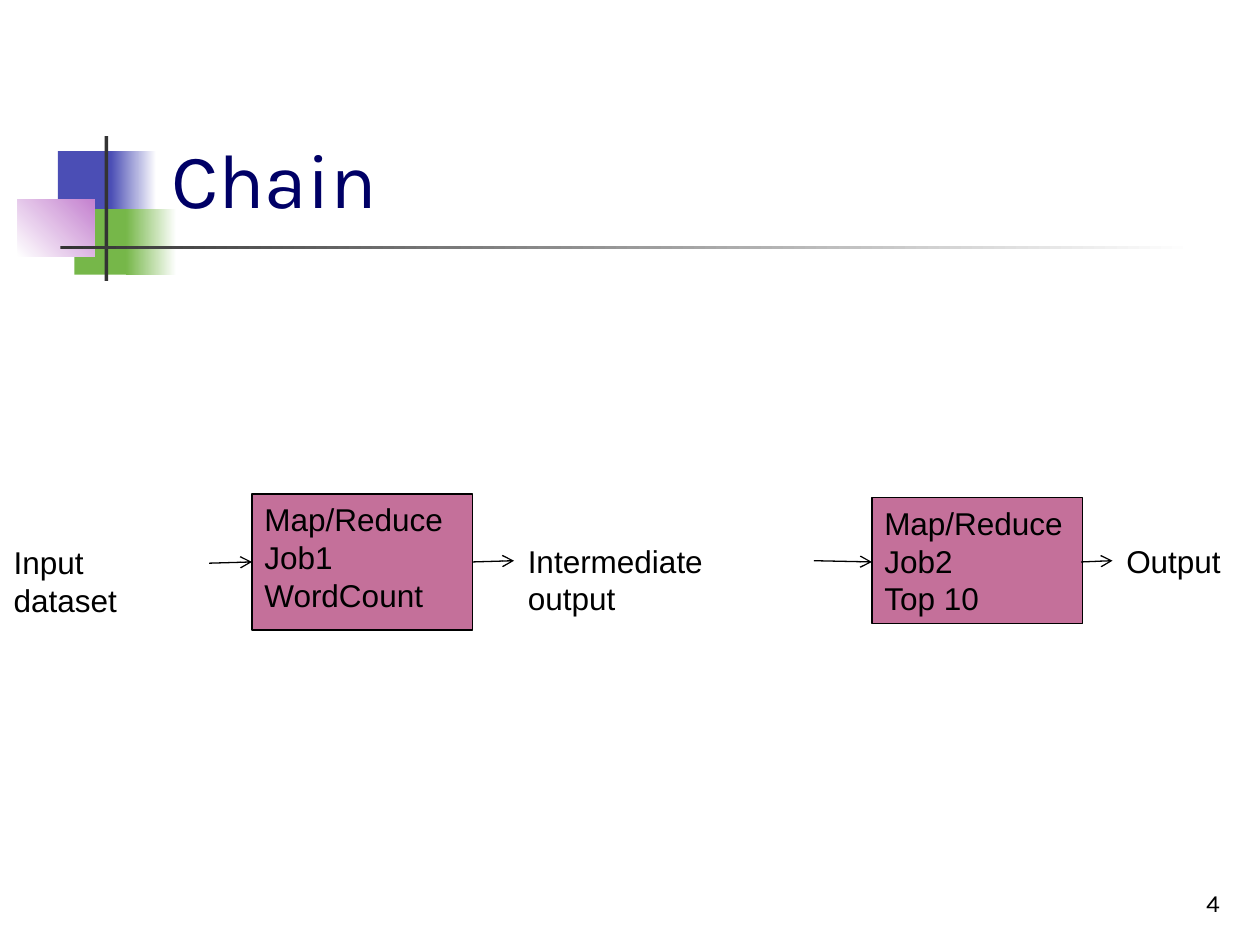
import pptx
import pptx.dml.color
import pptx.enum.shapes
import pptx.enum.text
import pptx.oxml
import pptx.oxml.ns
import pptx.util
from dataclasses import dataclass

Inches = pptx.util.Inches
ALIGN = pptx.enum.text.PP_ALIGN
ANCHOR = pptx.enum.text.MSO_ANCHOR


@dataclass(frozen=True)
class Theme:
    blue: str = "4B4EB5"
    green: str = "76B749"
    violet: str = "C481CF"
    bar: str = "333333"
    white: str = "FFFFFF"
    ink: str = "000000"
    title: str = "000066"
    job: str = "C4709A"
    heading_font: str = "Karla"
    body_font: str = "Arial"
    title_size: int = 44
    body_size: int = 18
    number_size: int = 14
    line_width: float = 0.75


def rgb(value):
    return pptx.dml.color.RGBColor.from_string(value)


class SlideBuilder:
    def __init__(self, page, theme):
        self.page = page
        self.theme = theme

    def rectangle(self, place, color, end_color=None, angle=0):
        """Borderless rectangle; an end colour makes the fill a gradient."""
        box = self.page.shapes.add_shape(
            pptx.enum.shapes.MSO_SHAPE.RECTANGLE, *map(Inches, place))
        box.shadow.inherit = False
        box.line.fill.background()
        if end_color is None:
            box.fill.solid()
            box.fill.fore_color.rgb = rgb(color)
        else:
            box.fill.gradient()
            box.fill.gradient_angle = angle
            for stop, value in zip(box.fill.gradient_stops, (color, end_color)):
                stop.color.rgb = rgb(value)
        return box

    def set_text(self, box, text, size, font, color, align=ALIGN.LEFT,
                 anchor=ANCHOR.TOP, wrap=True):
        frame = box.text_frame
        frame.text = text
        frame.word_wrap = wrap
        frame.vertical_anchor = anchor
        for para in frame.paragraphs:
            para.alignment = align
            for span in para.runs:
                span.font.size = pptx.util.Pt(size)
                span.font.name = font
                span.font.color.rgb = rgb(color)

    def text(self, place, text, size, font, color, **layout):
        box = self.page.shapes.add_textbox(*map(Inches, place))
        self.set_text(box, text, size, font, color, **layout)
        return box

    def label(self, place, text):
        box = self.text(place, text, self.theme.body_size,
                        self.theme.body_font, self.theme.ink, wrap=False)
        box.text_frame.auto_size = pptx.enum.text.MSO_AUTO_SIZE.SHAPE_TO_FIT_TEXT

    def job(self, place, text):
        theme = self.theme
        box = self.rectangle(place, theme.job)
        box.line.color.rgb = rgb(theme.ink)
        box.line.width = pptx.util.Pt(theme.line_width)
        self.set_text(box, text, theme.body_size, theme.body_font, theme.ink)

    def arrow(self, start, end):
        line = self.page.shapes.add_connector(
            pptx.enum.shapes.MSO_CONNECTOR.STRAIGHT, *map(Inches, start + end))
        line.line.color.rgb = rgb(self.theme.ink)
        line.line.width = pptx.util.Pt(self.theme.line_width)
        namespace = pptx.oxml.ns.nsdecls("a")
        properties = line._element.spPr
        properties.find(pptx.oxml.ns.qn("a:ln")).append(
            pptx.oxml.parse_xml(f'<a:tailEnd {namespace} type="arrow"/>'))
        properties.append(pptx.oxml.parse_xml(f"<a:effectLst {namespace}/>"))


def main():
    deck = pptx.Presentation()
    deck.slide_width, deck.slide_height = Inches(10), Inches(7.5)
    theme = Theme()
    slide = SlideBuilder(deck.slides.add_slide(deck.slide_layouts[6]), theme)

    decoration = [
        ((0.46, 1.2, 0.48, 0.52), theme.blue),
        ((0.88, 1.2, 0.36, 0.52), theme.blue, theme.white),
        ((0.59, 1.66, 0.46, 0.52), theme.green),
        ((1, 1.66, 0.4, 0.52), theme.green, theme.white),
        ((0.14, 1.58, 0.61, 0.46), theme.white, theme.violet, 45),
        ((0.83, 1.08, 0.03, 1.15), theme.bar),
        ((0.48, 1.95, 9, 0.03), theme.bar, theme.white),
    ]
    for block in decoration:
        slide.rectangle(*block)

    slide.text((1.26, 0.23, 8.52, 1.6), "Chain", theme.title_size,
               theme.heading_font, theme.title, anchor=ANCHOR.BOTTOM)
    slide.text((7.7, 6.83, 2.08, 0.5), "4", theme.number_size,
               theme.heading_font, theme.ink, align=ALIGN.RIGHT,
               anchor=ANCHOR.BOTTOM)

    slide.job((2, 3.92, 1.75, 1.08), "Map/Reduce Job1\nWordCount")
    slide.job((6.92, 3.95, 1.67, 1), "Map/Reduce Job2\nTop 10")

    slide.label((0.01, 4.26, 1.64, 0.4), "Input dataset")
    slide.label((4.09, 4.25, 2.35, 0.4), "Intermediate output")
    slide.label((8.84, 4.25, 0.95, 0.4), "Output")

    slide.arrow((1.66, 4.47), (2, 4.46))
    slide.arrow((3.75, 4.46), (4.08, 4.45))
    slide.arrow((6.46, 4.45), (6.92, 4.46))
    slide.arrow((8.58, 4.46), (8.83, 4.45))

    deck.save("out.pptx")


if __name__ == "__main__":
    main()
